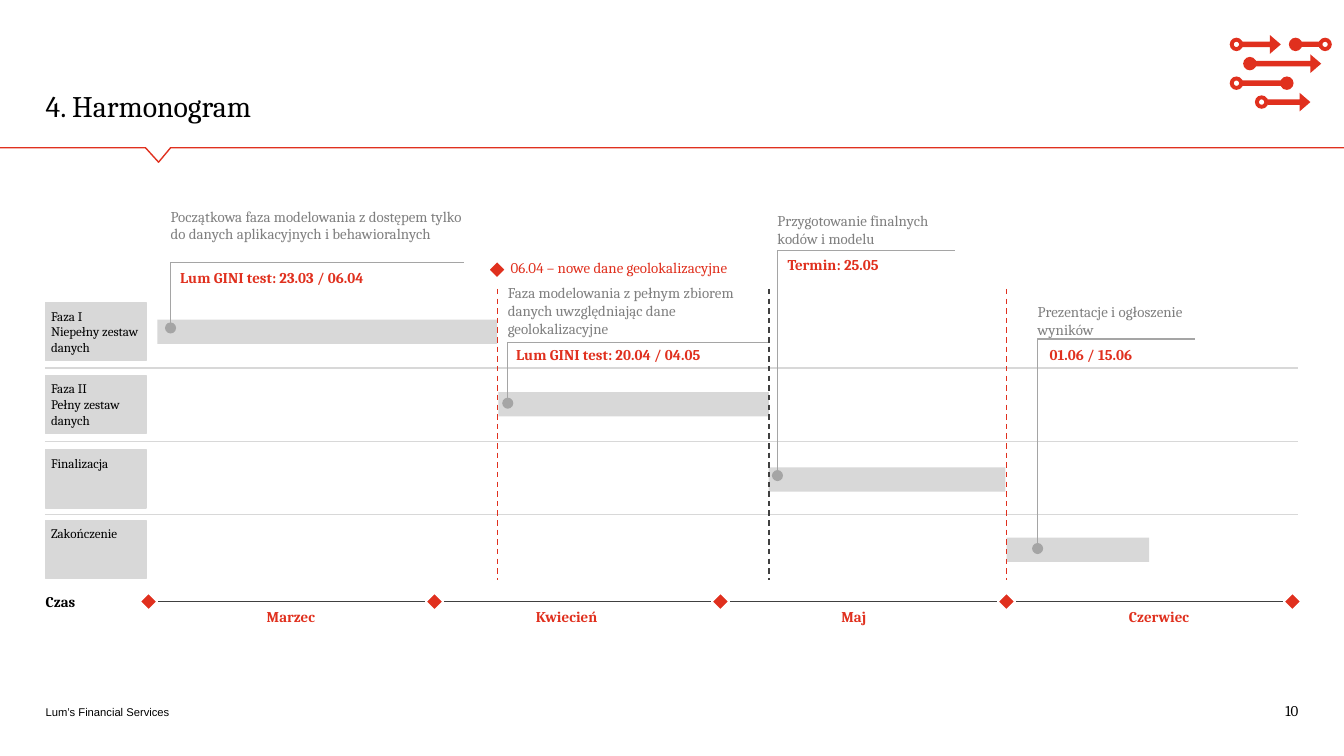
from lxml.etree import SubElement
from pptx import Presentation
from pptx.dml.color import RGBColor
from pptx.enum.dml import MSO_LINE
from pptx.enum.shapes import MSO_CONNECTOR, MSO_SHAPE
from pptx.enum.text import MSO_ANCHOR, PP_ALIGN
from pptx.oxml.ns import qn
from pptx.util import Pt

COLORS = {"red": "E0301E", "bar": "D8D8D8", "leader": "A5A5A5", "grey": "7F7F7F",
          "dark": "404040", "black": "000000", "white": "FFFFFF"}
RGB = {name: RGBColor.from_string(value) for name, value in COLORS.items()}

presentation = Presentation()
presentation.slide_width, presentation.slide_height = Pt(720), Pt(405)
slide = presentation.slides.add_slide(presentation.slide_layouts[5])
shapes = slide.shapes


def write(shape, text, size, color="black", bold=False, align=PP_ALIGN.LEFT,
          anchor=MSO_ANCHOR.TOP, inset=0, font="Cambria"):
    """Fill the shape with one paragraph per line of text."""
    frame = shape.text_frame
    frame.word_wrap = True
    frame.vertical_anchor = anchor
    frame.margin_left = frame.margin_right = Pt(inset)
    frame.margin_top = frame.margin_bottom = Pt(inset)
    for index, line in enumerate(text.split("\n")):
        paragraph = frame.add_paragraph() if index else frame.paragraphs[0]
        paragraph.alignment = align
        run = paragraph.add_run()
        run.text = line
        run.font.name, run.font.size, run.font.bold = font, Pt(size), bold
        run.font.color.rgb = RGB[color]


def add_block(kind, left, top, width, height, color, outline=None, weight=0.75):
    block = shapes.add_shape(kind, Pt(left), Pt(top), Pt(width), Pt(height))
    block.shadow.inherit = False
    block.fill.solid()
    block.fill.fore_color.rgb = RGB[color]
    if outline:
        block.line.color.rgb = RGB[outline]
        block.line.width = Pt(weight)
    else:
        block.line.fill.background()
    return block


# Title, footer and page number
title = shapes.title
title.left, title.top, title.width, title.height = Pt(24.5), Pt(46.8), Pt(671), Pt(19.4)
write(title, "4. Harmonogram", 16, anchor=MSO_ANCHOR.BOTTOM)
footer = shapes.add_textbox(Pt(24.5), Pt(378), Pt(201.6), Pt(7.2))
write(footer, "Lum’s Financial Services", 6, font="Arial")
page_number = shapes.add_textbox(Pt(527.8), Pt(375.8), Pt(167.8), Pt(9.4))
write(page_number, "10", 8, align=PP_ALIGN.RIGHT, anchor=MSO_ANCHOR.MIDDLE)

# Icon of arrows and dots: kind, left, centre height, width
ARROW, DOT, RING, BAR = MSO_SHAPE.RIGHT_ARROW, MSO_SHAPE.OVAL, MSO_SHAPE.DONUT, MSO_SHAPE.RECTANGLE
ICON_HEIGHTS = {ARROW: 10, DOT: 7.2, RING: 7.2, BAR: 2.9}
ICON_ADJUSTMENTS = {ARROW: (0.29, 0.58), RING: (0.3,)}
for kind, left, middle, width in [
    (ARROW, 665.5, 23.8, 20.7), (RING, 658.8, 23.8, 7.2),
    (BAR, 697, 23.8, 10), (DOT, 690.5, 23.8, 7.2), (RING, 706.3, 23.8, 7.2),
    (ARROW, 672.5, 34.1, 35.3), (DOT, 666, 34.1, 7.2),
    (BAR, 665.5, 44.6, 22), (RING, 658.8, 44.6, 7.2), (DOT, 685.8, 44.6, 7.2),
    (ARROW, 679, 54.7, 23), (RING, 672.3, 54.7, 7.2),
]:
    height = ICON_HEIGHTS[kind]
    piece = add_block(kind, left, middle - height / 2, width, height, "red")
    for index, value in enumerate(ICON_ADJUSTMENTS.get(kind, ())):
        piece.adjustments[index] = value

# Phases: name, box top, bar left, bar top, bar width
for name, box_top, bar_left, bar_top, bar_width in [
    ("Faza I\nNiepełny zestaw danych", 162.1, 84.3, 171.3, 182.1),
    ("Faza II\nPełny zestaw danych", 201.1, 267, 210.1, 145),
    ("Finalizacja", 240.9, 411.8, 250.4, 126.8),
    ("Zakończenie", 278.7, 539.2, 288, 76.4),
]:
    phase_box = add_block(BAR, 24.5, box_top, 53.8, 31.2, "bar", "bar")
    write(phase_box, name, 7, inset=2.9)
    add_block(BAR, bar_left, bar_top, bar_width, 13, "bar")

# Row dividers, phase boundaries and time axis
lines = [(24, y, 695.6, y, "bar", False) for y in (197.2, 236.6, 275.8)]
lines += [(x, 154.8, x, 311, color, True)
          for x, color in ((266.4, "red"), (412, "dark"), (539.1, "red"))]
lines.append((75, 322.3, 697, 322.3, "dark", False))
for x1, y1, x2, y2, color, dashed in lines:
    connector = shapes.add_connector(MSO_CONNECTOR.STRAIGHT, Pt(x1), Pt(y1), Pt(x2), Pt(y2))
    connector.line.color.rgb = RGB[color]
    connector.line.width = Pt(0.75)
    if dashed:
        connector.line.dash_style = MSO_LINE.DASH
    SubElement(connector._element.spPr, qn("a:effectLst"))

# Month diamonds on the axis, and the one for new data
DIAMOND = 9.4
diamonds = [(74.9 + 153.2 * month, 317.6) for month in range(5)] + [(261.6, 139.8)]
for left, top in diamonds:
    add_block(MSO_SHAPE.DIAMOND, left, top, DIAMOND, DIAMOND, "red", "white", 1)

# Axis labels
write(shapes.add_textbox(Pt(24.5), Pt(317.6), Pt(45.4), Pt(9.4)), "Czas", 8, bold=True)
for month, left in [("Marzec", 133.2), ("Kwiecień", 280.9), ("Maj", 434.7), ("Czerwiec", 598.3)]:
    month_label = shapes.add_textbox(Pt(left), Pt(325.6), Pt(45.4), Pt(9.4))
    write(month_label, month, 8, "red", True, PP_ALIGN.CENTER)

new_data = shapes.add_textbox(Pt(273.6), Pt(138.5), Pt(168.5), Pt(9.4))
write(new_data, "06.04 – nowe dane geolokalizacyjne", 8, "red")

# Callouts: description with its top and width, date with its place, leader corner points
outlines = [([(720, 79.2), (91.4, 79.2), (85, 86.9), (78, 79.2), (0, 79.2)], "red", False)]
for description, top, width, date, date_left, date_top, left, dot_y, corner_y, right in [
    ("Początkowa faza modelowania z dostępem tylko do danych aplikacyjnych i behawioralnych",
     111, 160.6, "Lum GINI test: 23.03 / 06.04", 96.5, 144, 91.4, 175.7, 140.5, 248.5),
    ("Faza modelowania z pełnym zbiorem danych uwzględniając dane geolokalizacyjne",
     152, 143.3, "Lum GINI test: 20.04 / 04.05", 276.5, 184.9, 272, 216, 183.5, 411.5),
    ("Przygotowanie finalnych kodów i modelu",
     113.5, 95.4, "Termin: 25.05", 421.9, 137, 416.5, 254.8, 134.1, 511.6),
    ("Prezentacje i ogłoszenie\nwyników",
     162.2, 143.3, "01.06 / 15.06", 562.3, 185.2, 555.9, 293.9, 181.7, 640.2),
]:
    description_box = shapes.add_textbox(Pt(left), Pt(top), Pt(width), Pt(19.4))
    write(description_box, description, 8, "grey")
    date_box = shapes.add_textbox(Pt(date_left), Pt(date_top), Pt(140), Pt(9.4))
    write(date_box, date, 8, "red", True)
    outlines.append(([(left, dot_y), (left, corner_y), (right, corner_y)], "leader", True))

# Header rule with its notch, and callout leaders
for points, color, dotted in outlines:
    start, *others = [(Pt(x), Pt(y)) for x, y in points]
    builder = shapes.build_freeform(*start, scale=1.0)
    builder.add_line_segments(others, close=False)
    outline = builder.convert_to_shape()
    outline.shadow.inherit = False
    outline.fill.background()
    outline.line.color.rgb = RGB[color]
    outline.line.width = Pt(0.75)
    if dotted:
        SubElement(outline.line._get_or_add_ln(), qn("a:headEnd"), type="oval")

presentation.save("out.pptx")
